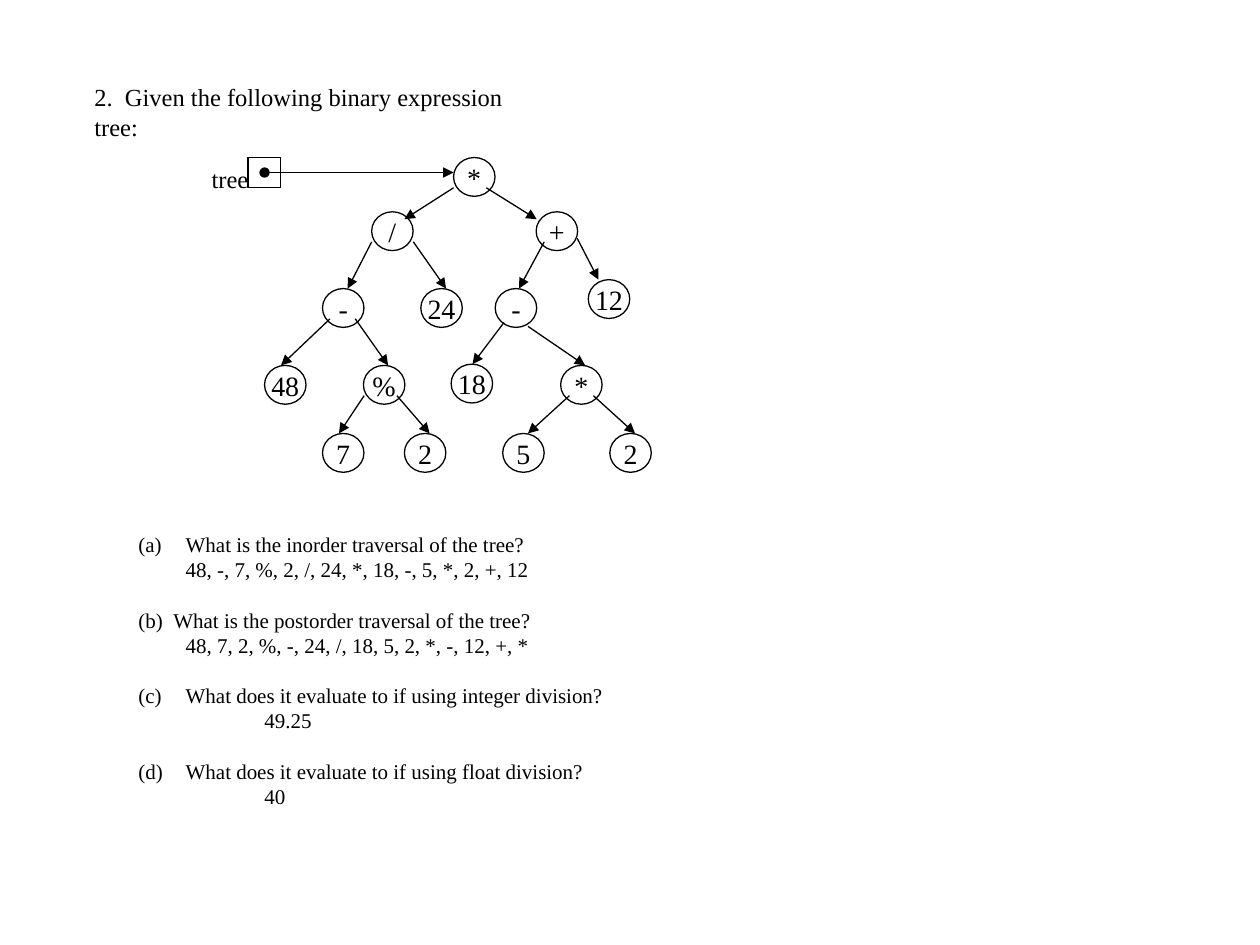
from lxml.etree import SubElement
from pptx import Presentation
from pptx.dml.color import RGBColor
from pptx.enum.shapes import MSO_CONNECTOR, MSO_SHAPE
from pptx.enum.text import MSO_ANCHOR, PP_ALIGN
from pptx.oxml.ns import qn
from pptx.util import Pt

FONT = "Times New Roman"
BLACK = "000000"
NODE_W, NODE_H = 23.7, 22.2

TITLE = "2.  Given the following binary expression tree:"

# label, left, top, arrow from the parent (x1, y1, x2, y2)
NODES = [
    ("*", 259.2, 90, None),
    ("/", 212.4, 121, (259.2, 107.3, 231.1, 125.3)),
    ("+", 306.4, 121, (277.9, 107.3, 306.7, 125.3)),
    ("24", 240.5, 164.9, (236.2, 138.2, 254.9, 164.9)),
    ("-", 283, 164.9, (311, 138.2, 296.6, 164.9)),
    ("-", 184.3, 164.9, (212.4, 138.2, 198.7, 164.9)),
    ("%", 207.7, 208.8, (203, 182.2, 221.8, 208.8)),
    ("48", 151.2, 208.8, (188.6, 182.2, 160.6, 208.8)),
    ("7", 184.3, 247.7, (208.1, 226.1, 193.7, 247.7)),
    ("2", 231.1, 247.7, (226.8, 226.1, 245.5, 247.7)),
    ("*", 320.4, 208.8, (301.7, 186.5, 334.4, 208.8)),
    ("5", 287.3, 247.7, (325.4, 226.1, 301.7, 247.7)),
    ("2", 348.5, 247.7, (339.1, 226.1, 362.9, 247.7)),
    ("12", 336.2, 159.8, (329.8, 136.1, 342, 159.8)),
    ("18", 257.8, 208.1, (288, 184.3, 270, 208.1)),
]

# question, hanging indent, answer, answer indent
QUESTIONS = [
    ("What is the inorder traversal of the tree?", 27,
     "48, -, 7, %, 2, /, 24, *, 18, -, 5, *, 2, +, 12", 27),
    ("What is the postorder traversal of the tree?", 20,
     "48, 7, 2, %, -, 24, /, 18, 5, 2, *, -, 12, +, *", 27),
    ("What does it evaluate to if using integer division?", 27, "49.25", 72),
    ("What does it evaluate to if using float division?", 27, "40", 72),
]


def color(value):
    return RGBColor.from_string(value)


def write(p, text, size):
    p.text = text
    for r in p.runs:
        r.font.name = FONT
        r.font.size = Pt(size)
        r.font.color.rgb = color(BLACK)


def text_box(shapes, left, top, width, height, wrap=True):
    tf = shapes.add_textbox(Pt(left), Pt(top), Pt(width), Pt(height)).text_frame
    tf.word_wrap = wrap
    return tf


def outlined(shapes, kind, left, top, width, height):
    sp = shapes.add_shape(kind, Pt(left), Pt(top), Pt(width), Pt(height))
    sp.shadow.inherit = False
    sp.fill.background()
    sp.line.color.rgb = color(BLACK)
    sp.line.width = Pt(0.75)
    return sp


def arrow(shapes, x1, y1, x2, y2, head=None):
    c = shapes.add_connector(MSO_CONNECTOR.STRAIGHT, Pt(x1), Pt(y1), Pt(x2), Pt(y2))
    c.line.color.rgb = color(BLACK)
    c.line.width = Pt(0.75)
    ln = c.line._get_or_add_ln()
    if head:
        SubElement(ln, qn("a:headEnd"), type=head)
    SubElement(ln, qn("a:tailEnd"), type="triangle")
    SubElement(c._element.spPr, qn("a:effectLst"))


def indent(p, margin, hang=0):
    pPr = p._p.get_or_add_pPr()
    pPr.set("marL", str(Pt(margin)))
    pPr.set("indent", str(-Pt(hang)))
    return pPr


def add_questions(tf):
    for i, (question, hang, answer, margin) in enumerate(QUESTIONS):
        p = tf.paragraphs[0] if i == 0 else tf.add_paragraph()
        write(p, question, 12)
        p.line_spacing = Pt(14.4)
        p.space_before = Pt(14.4 if i else 0)
        SubElement(indent(p, hang, hang), qn("a:buAutoNum"),
                   type="alphaLcParenBoth", startAt=str(i + 1))
        p = tf.add_paragraph()
        write(p, answer, 12)
        p.line_spacing = Pt(14.4)
        indent(p, margin)


def add_tree(shapes):
    for label, left, top, _ in NODES:
        sp = outlined(shapes, MSO_SHAPE.OVAL, left, top, NODE_W, NODE_H)
        tf = sp.text_frame
        tf.word_wrap = False
        tf.vertical_anchor = MSO_ANCHOR.MIDDLE
        write(tf.paragraphs[0], label, 16)
        tf.paragraphs[0].alignment = PP_ALIGN.CENTER
    for *_, link in NODES:
        if link:
            arrow(shapes, *link)
    outlined(shapes, MSO_SHAPE.RECTANGLE, 141.8, 90, 18.7, 17.3)
    write(text_box(shapes, 113.8, 90, 35.3, 24, False).paragraphs[0], "tree", 14)
    arrow(shapes, 151.2, 98.6, 259.2, 98.6, "oval")


def main():
    prs = Presentation()
    prs.slide_width, prs.slide_height = Pt(720), Pt(540)
    s = prs.slides.add_slide(prs.slide_layouts[6])
    p = text_box(s.shapes, 46.8, 43.2, 270, 24).paragraphs[0]
    write(p, TITLE, 14)
    p.line_spacing = Pt(17)
    add_questions(text_box(s.shapes, 72, 300.2, 284, 211))
    add_tree(s.shapes.add_group_shape().shapes)
    prs.save("out.pptx")


if __name__ == "__main__":
    main()
